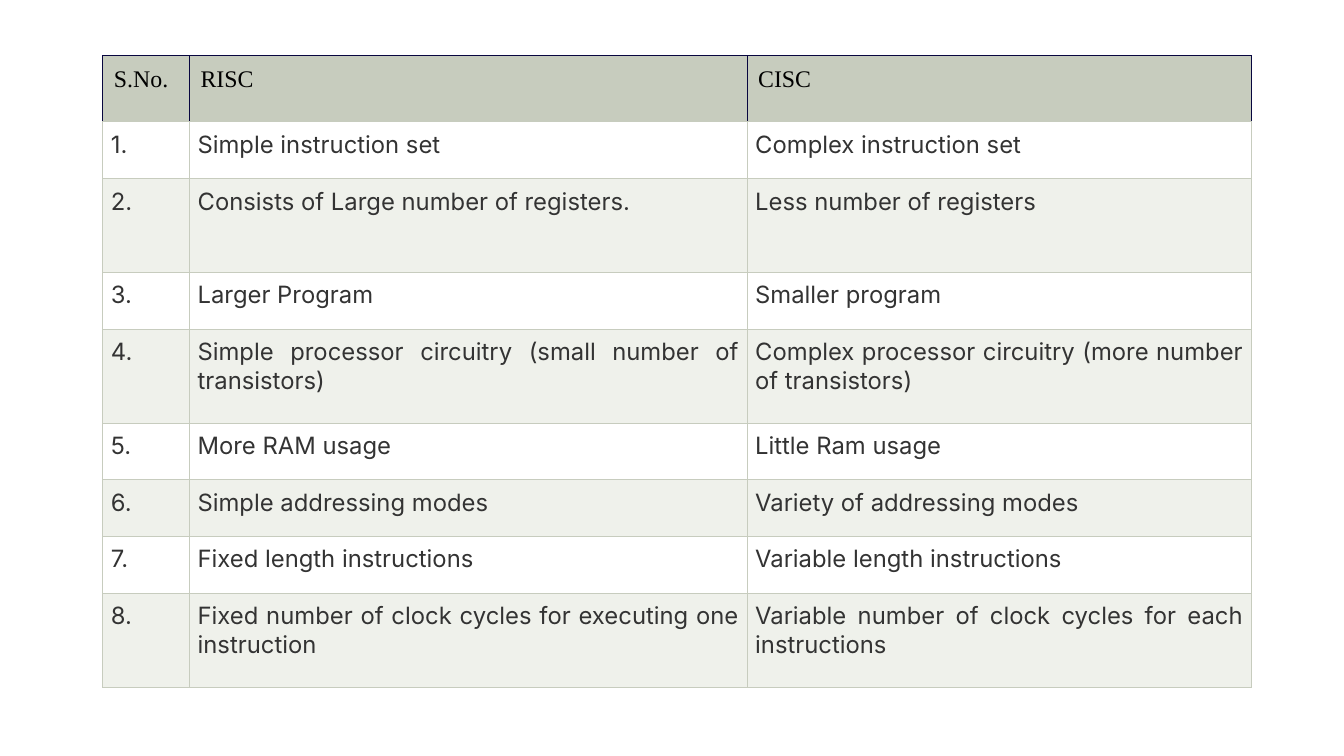
import pptx
import pptx.util
import pptx.dml.color
import pptx.enum.text
import pptx.oxml
import pptx.oxml.ns

SLIDE_W, SLIDE_H = 13.33, 7.5
SAGE, PALE, WHITE = "C7CCBE", "EFF1EB", "FFFFFF"
NAVY, BLACK, GREY = "08063F", "000000", "333333"

COLUMNS = [0.86, 5.53, 5]
HEADER_H, SHORT_H, TALL_H = 0.66, 0.565, 0.93
TALL_ROWS = (2, 4, 8)

HEADINGS = ["S.No.", "RISC", "CISC"]
COMPARISON = [
    ("Simple instruction set", "Complex instruction set"),
    ("Consists of Large number of registers.", "Less number of registers"),
    ("Larger Program", "Smaller program"),
    ("Simple processor circuitry (small number of transistors)",
     "Complex processor circuitry (more number of transistors)"),
    ("More RAM usage", "Little Ram usage"),
    ("Simple addressing modes", "Variety of addressing modes"),
    ("Fixed length instructions", "Variable length instructions"),
    ("Fixed number of clock cycles for executing one instruction",
     "Variable number of clock cycles for each instructions"),
]


def rgb(color):
    return pptx.dml.color.RGBColor.from_string(color)


def set_borders(cell, **colors):
    tcPr = cell._tc.get_or_add_tcPr()
    for side in ("L", "R", "T", "B"):
        tcPr.append(pptx.oxml.parse_xml(
            f'<a:ln{side} {pptx.oxml.ns.nsdecls("a")} w="9525"><a:solidFill>'
            f'<a:srgbClr val="{colors.get(side, SAGE)}"/></a:solidFill></a:ln{side}>'))


def fill_cell(cell, text, fill, font, color, inset, align=None):
    cell.margin_left = cell.margin_right = pptx.util.Inches(inset)
    cell.margin_top = cell.margin_bottom = pptx.util.Inches(inset)
    cell.fill.solid()
    cell.fill.fore_color.rgb = rgb(fill)
    p = cell.text_frame.paragraphs[0]
    p.alignment = align
    r = p.add_run()
    r.text = text
    r.font.name, r.font.size, r.font.bold = font, pptx.util.Pt(17), False
    r.font.color.rgb = rgb(color)


def add_comparison(s, left, top, width, height):
    rows = [HEADINGS] + [(f"{n}.", *pair) for n, pair in enumerate(COMPARISON, 1)]
    box = [pptx.util.Inches(v) for v in (left, top, width, height)]
    table = s.shapes.add_table(len(rows), len(COLUMNS), *box).table

    # Column and row sizes share out the box
    for column, share in zip(table.columns, COLUMNS):
        column.width = pptx.util.Inches(width * share / sum(COLUMNS))
    heights = [HEADER_H] + [TALL_H if n in TALL_ROWS else SHORT_H
                            for n in range(1, len(rows))]
    for row, share in zip(table.rows, heights):
        row.height = pptx.util.Inches(height * share / sum(heights))

    # Header, then banded body
    for i, texts in enumerate(rows):
        for j, text in enumerate(texts):
            cell = table.cell(i, j)
            if i == 0:
                set_borders(cell, L=NAVY, R=NAVY, T=NAVY)
                fill_cell(cell, text, SAGE, "Times New Roman", BLACK, 0.11)
            else:
                set_borders(cell)
                fill_cell(cell, text, WHITE if i % 2 else PALE, "Inter", GREY, 0.08,
                          pptx.enum.text.PP_ALIGN.JUSTIFY)


def main():
    prs = pptx.Presentation()
    prs.slide_width = pptx.util.Inches(SLIDE_W)
    prs.slide_height = pptx.util.Inches(SLIDE_H)
    s = prs.slides.add_slide(prs.slide_layouts[6])
    add_comparison(s, 1.02, 0.55, 11.39, 6.27)
    prs.save("out.pptx")


if __name__ == "__main__":
    main()
